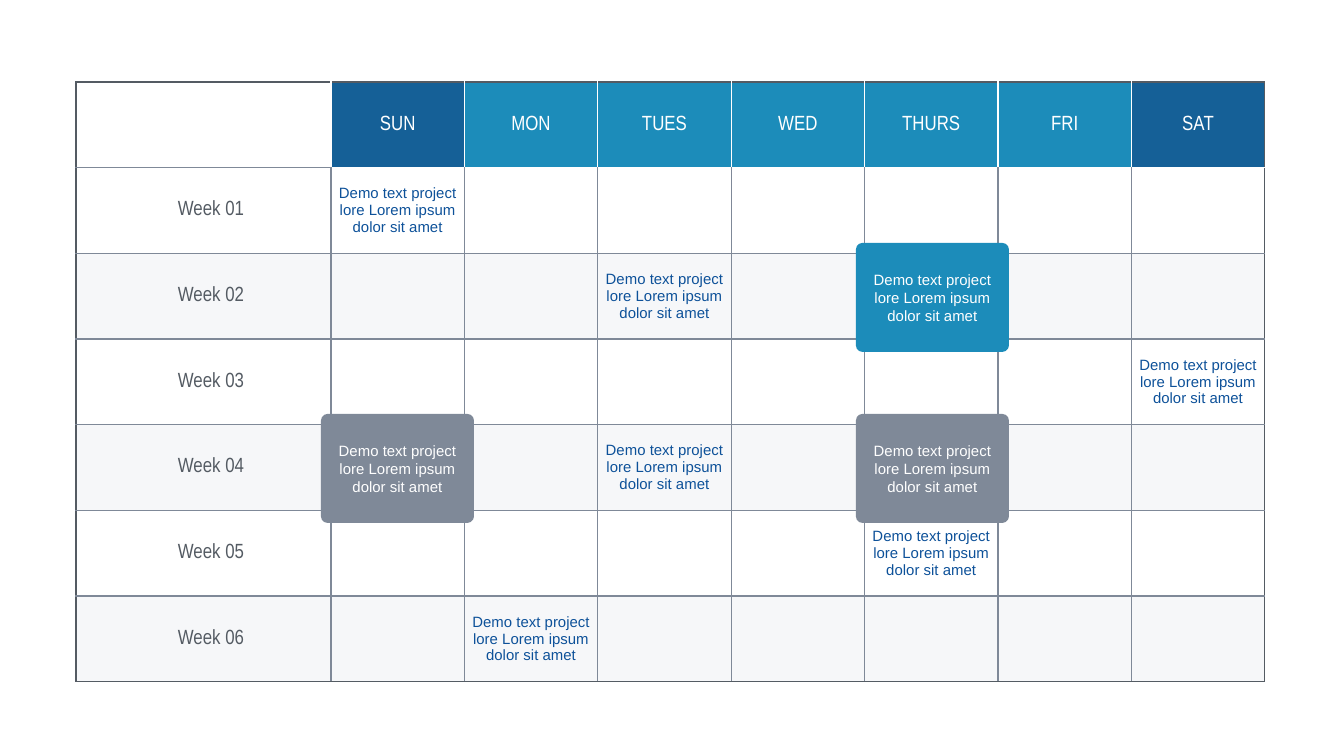
from lxml import etree
from pptx import Presentation
from pptx.dml.color import RGBColor
from pptx.enum.shapes import MSO_SHAPE
from pptx.enum.text import MSO_ANCHOR, PP_ALIGN
from pptx.oxml.ns import qn
from pptx.util import Pt

ROUNDED = MSO_SHAPE.ROUNDED_RECTANGLE
MIDDLE = MSO_ANCHOR.MIDDLE
CENTER = PP_ALIGN.CENTER

WHITE = RGBColor(0xFF, 0xFF, 0xFF)
NAVY = RGBColor(0x15, 0x60, 0x97)
BLUE = RGBColor(0x1C, 0x8C, 0xBA)
INK = RGBColor(0x0D, 0x51, 0x99)
DARK = RGBColor(0x54, 0x5B, 0x63)
GRAY = RGBColor(0x7F, 0x89, 0x98)
PALE = RGBColor(0xEE, 0xF0, 0xF4)

PX = 914400 / 134.4
LEFT, TOP, WEEK_W, DAYS_W, HEIGHT = 76, 82, 255, 934, 600
DAYS = ["SUN", "MON", "TUES", "WED", "THURS", "FRI", "SAT"]
ROWS, COLS = 7, 1 + len(DAYS)
DEMO = "Demo text project lore Lorem ipsum dolor sit amet"
DEMO_CELLS = {(1, 1), (2, 3), (3, 7), (4, 3), (5, 5), (6, 2)}
HEADING = {"name": "Arial Narrow", "size": Pt(11)}
BODY = {"name": "Arial", "size": Pt(8)}


def write(tf, text, font, color):
    p = tf.paragraphs[0]
    p.alignment = CENTER
    r = p.add_run()
    r.text = text
    for key, value in font.items():
        setattr(r.font, key, value)
    r.font.color.rgb = color


def set_borders(cell, colors):
    """Put left, right, top and bottom lines ahead of the cell's fill."""
    tcPr = cell._tc.get_or_add_tcPr()
    for i, (side, color) in enumerate(zip("LRTB", colors)):
        ln = etree.Element(qn(f"a:ln{side}"), w=str(Pt(0.75)))
        fill = etree.SubElement(ln, qn("a:solidFill"))
        etree.SubElement(fill, qn("a:srgbClr"), val=str(color))
        tcPr.insert(i, ln)


prs = Presentation()
prs.slide_width = round(1344 * PX)
prs.slide_height = round(756 * PX)
s = prs.slides.add_slide(prs.slide_layouts[6])

# Calendar grid
frame = s.shapes.add_table(ROWS, COLS, *[round(v * PX) for v in (LEFT, TOP, WEEK_W + DAYS_W, HEIGHT)])
table = frame.table
table.first_row = table.horz_banding = False
for c, column in enumerate(table.columns):
    column.width = round((DAYS_W / len(DAYS) if c else WEEK_W) * PX)
for row in table.rows:
    row.height = round(HEIGHT / ROWS * PX)

for row in range(ROWS):
    for col in range(COLS):
        cell = table.cell(row, col)
        cell.vertical_anchor = MIDDLE
        cell.margin_left = round((20 if row and not col else 5) * PX)
        cell.margin_right = round(5 * PX)
        cell.margin_top = cell.margin_bottom = round(3 * PX)
        if row == 0 and col:
            write(cell.text_frame, DAYS[col - 1], HEADING, WHITE)
        elif row and col == 0:
            write(cell.text_frame, f"Week {row:02}", HEADING, DARK)
        elif (row, col) in DEMO_CELLS:
            write(cell.text_frame, DEMO, BODY, INK)

        if row == 0 and col:
            cell.fill.solid()
            cell.fill.fore_color.rgb = NAVY if col in (1, COLS - 1) else BLUE
        elif row and row % 2 == 0:
            cell.fill.solid()
            cell.fill.fore_color.rgb = PALE
            clr = cell._tc.tcPr.find(f".//{qn('a:srgbClr')}")
            etree.SubElement(clr, qn("a:alpha"), val="50000")
        else:
            cell.fill.background()

        inner = GRAY if row else WHITE
        set_borders(cell, [
            inner if col else DARK,
            inner if col < COLS - 1 else DARK,
            DARK if row == 0 else WHITE if row == 1 and col else GRAY,
            DARK if row == ROWS - 1 else WHITE if row == 0 and col else GRAY,
        ])

# Highlighted days
for x, y, color in [(856, 243, BLUE), (321, 414, GRAY), (856, 414, GRAY)]:
    sp = s.shapes.add_shape(ROUNDED, *[round(v * PX) for v in (x, y, 153, 109)])
    sp.adjustments[0] = 0.06
    sp.shadow.inherit = False
    sp.fill.solid()
    sp.fill.fore_color.rgb = color
    sp.line.fill.background()
    tf = sp.text_frame
    tf.word_wrap = True
    tf.vertical_anchor = MIDDLE
    for side in ("left", "right", "top", "bottom"):
        setattr(tf, f"margin_{side}", round(3 * PX))
    write(tf, DEMO, BODY, WHITE)

prs.save("out.pptx")
